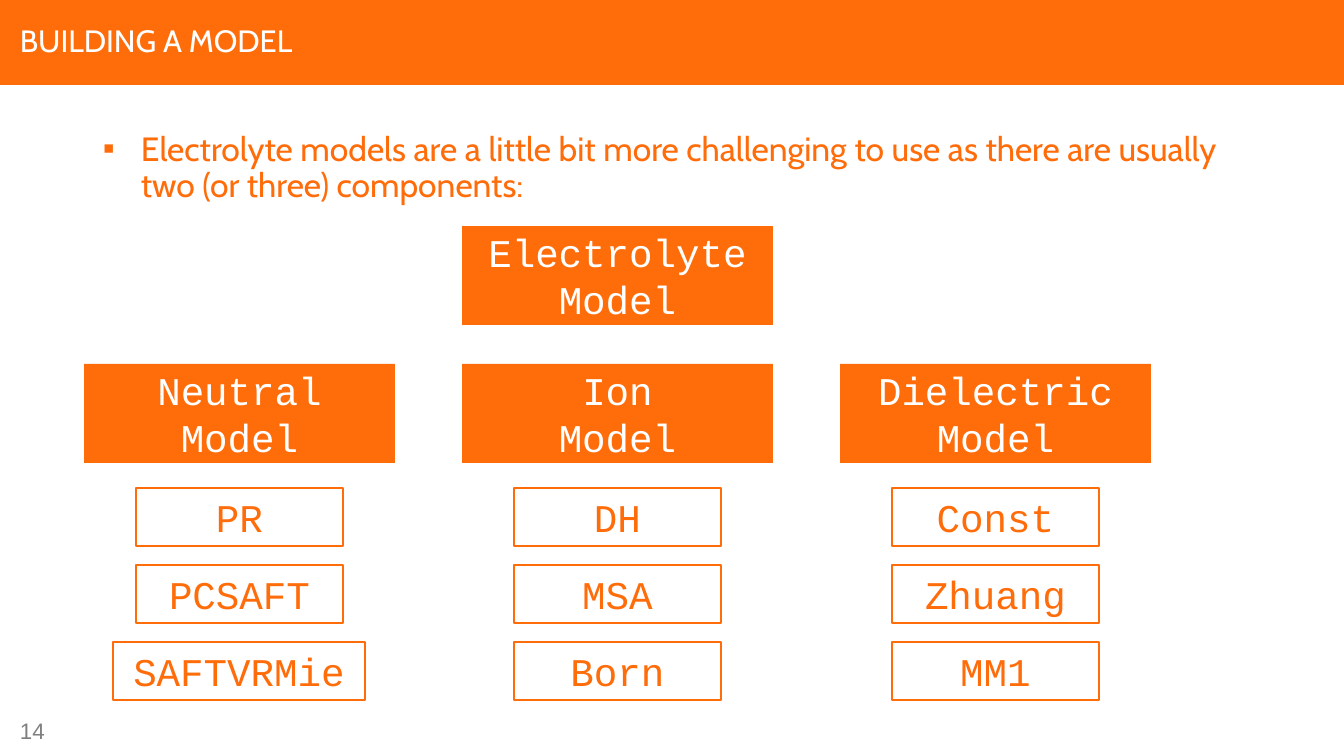
from lxml.etree import SubElement
from pptx import Presentation
from pptx.dml.color import RGBColor
from pptx.enum.shapes import MSO_SHAPE
from pptx.enum.text import MSO_ANCHOR, PP_ALIGN
from pptx.oxml.ns import qn
from pptx.util import Emu, Pt

COLORS = {"orange": "FF6C0A", "white": "FFFFFF", "gray": "808080"}
EMU_PER_PX = 914400 / 100.8
COLUMN_LEFT, COLUMN_PITCH = 84, 378
HEADING_WIDTH, HEADING_HEIGHT = 311, 99
OPTION_TOP, OPTION_PITCH, OPTION_HEIGHT = 488, 77, 58
OPTION_WIDTH, WIDE_OPTION_WIDTH = 207, 252
COMPONENTS = {
    "Neutral": ["PR", "PCSAFT", "SAFTVRMie"],
    "Ion": ["DH", "MSA", "Born"],
    "Dielectric": ["Const", "Zhuang", "MM1"],
}


def px(length):
    return Emu(round(length * EMU_PER_PX))


def rgb(color):
    return RGBColor.from_string(COLORS[color])


class SlideBuilder:
    def __init__(self, slide):
        self.slide = slide

    def run(self, paragraph, text, font, size, color):
        run = paragraph.add_run()
        run.text = text
        run.font.name = font
        run.font.size = Pt(size)
        run.font.color.rgb = rgb(color)

    def text(self, left, top, width, height, text, font, size, color,
             anchor=MSO_ANCHOR.TOP, line_spacing=1.0):
        shape = self.slide.shapes.add_textbox(px(left), px(top), px(width), px(height))
        shape.text_frame.word_wrap = True
        shape.text_frame.vertical_anchor = anchor
        paragraph = shape.text_frame.paragraphs[0]
        paragraph.line_spacing = line_spacing
        self.run(paragraph, text, font, size, color)
        return paragraph

    def bullet(self, paragraph, character, color, indent):
        paragraph.space_before = Pt(10)
        properties = paragraph._p.get_or_add_pPr()
        properties.set("marL", str(px(indent)))
        properties.set("indent", str(-px(indent)))
        bullet_color = SubElement(properties, qn("a:buClr"))
        SubElement(bullet_color, qn("a:srgbClr"), val=COLORS[color])
        SubElement(properties, qn("a:buFont"), typeface="Arial")
        SubElement(properties, qn("a:buChar"), char=character)

    def box(self, left, top, width, height, lines=(), filled=True):
        shape = self.slide.shapes.add_shape(
            MSO_SHAPE.RECTANGLE, px(left), px(top), px(width), px(height))
        shape.shadow.inherit = False
        if filled:
            shape.fill.solid()
            shape.fill.fore_color.rgb = rgb("orange")
            shape.line.fill.background()
        else:
            shape.fill.background()
            shape.line.color.rgb = rgb("orange")
            shape.line.width = Pt(1)
        frame = shape.text_frame
        frame.word_wrap = True
        frame.vertical_anchor = MSO_ANCHOR.MIDDLE
        for index, line in enumerate(lines):
            paragraph = frame.add_paragraph() if index else frame.paragraphs[0]
            paragraph.alignment = PP_ALIGN.CENTER
            self.run(paragraph, line, "Courier New", 28, "white" if filled else "orange")

    def heading(self, column, top, name):
        left = COLUMN_LEFT + column * COLUMN_PITCH
        self.box(left, top, HEADING_WIDTH, HEADING_HEIGHT, [name, "Model"])

    def option(self, column, row, name):
        width = WIDE_OPTION_WIDTH if len(name) > 8 else OPTION_WIDTH
        left = COLUMN_LEFT + column * COLUMN_PITCH + (HEADING_WIDTH - width) // 2
        top = OPTION_TOP + row * OPTION_PITCH
        self.box(left, top, width, OPTION_HEIGHT, [name], filled=False)


def main():
    presentation = Presentation()
    presentation.slide_width = px(1344)
    presentation.slide_height = px(756)
    builder = SlideBuilder(presentation.slides.add_slide(presentation.slide_layouts[6]))

    builder.box(0, 0, 1344, 85)
    builder.text(10, 712, 65, 37, "14", "Arial", 16, "gray")
    builder.text(10, 15, 608, 56, "BUILDING A MODEL", "Cabin", 22, "white",
                 MSO_ANCHOR.MIDDLE, 0.9)
    introduction = builder.text(
        93, 127, 1155, 573,
        "Electrolyte models are a little bit more challenging to use as there are usually "
        "two (or three) components:", "Cabin", 24, "orange", line_spacing=0.9)
    builder.bullet(introduction, "▪", "orange", 38)

    builder.heading(1, 226, "Electrolyte")
    for column, (component, options) in enumerate(COMPONENTS.items()):
        builder.heading(column, 364, component)
        for row, name in enumerate(options):
            builder.option(column, row, name)

    presentation.save("out.pptx")


if __name__ == "__main__":
    main()
